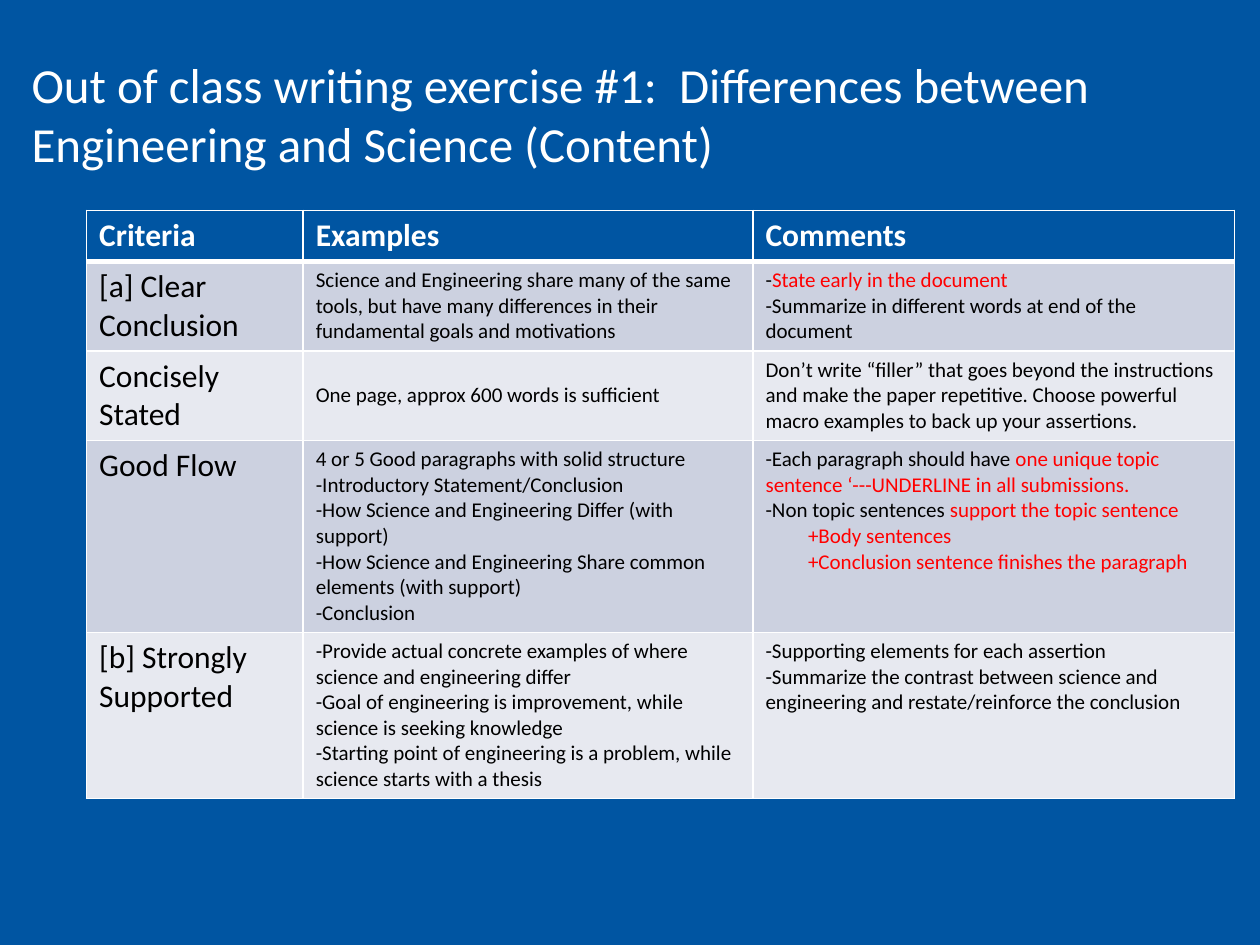
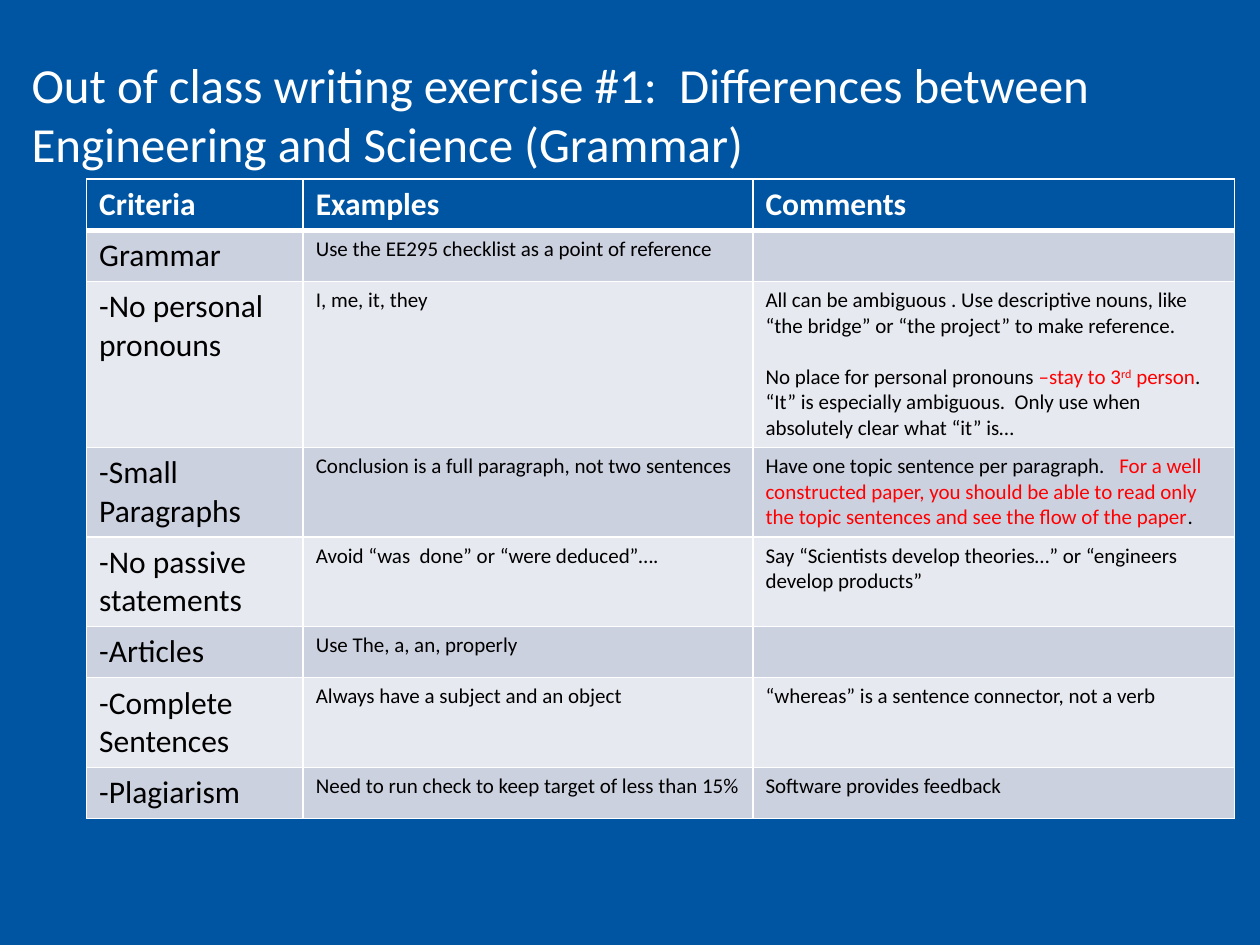
import pptx
import pptx.util
import pptx.dml.color
import pptx.enum.text
import lxml.etree
from pptx.util import Pt
from pptx.dml.color import RGBColor
from pptx.oxml.ns import qn

BLUE = RGBColor(0x00, 0x55, 0xA2)
WHITE = RGBColor(0xFF, 0xFF, 0xFF)
BLACK = RGBColor(0x00, 0x00, 0x00)
RED = RGBColor(0xFF, 0x00, 0x00)
BANDS = [RGBColor(0xE7, 0xE9, 0xF0), RGBColor(0xCC, 0xD1, 0xE0)]

FONT = "Calibri"
TITLE = "Out of class writing exercise #1:  Differences between Engineering and Science"
HEADER = ["Criteria", "Examples", "Comments"]
COLUMN_WIDTHS = [123.8, 257, 275.2]
ONE_LINE, TWO_LINES = 29.2, 50.4
SUB_INDENT = 24.3
BLANK_LINE = 14.6


def add_span(para, text, size, color, bold=False):
    span = para.add_run()
    span.text = text
    span.font.name = FONT
    span.font.size = Pt(size)
    span.font.color.rgb = color
    span.font.bold = bold
    return span


def set_borders(cell, top, bottom):
    properties = cell._tc.get_or_add_tcPr()
    sides = [("lnL", 1), ("lnR", 1), ("lnT", top), ("lnB", bottom)]
    for position, (side, width) in enumerate(sides):
        line = lxml.etree.Element(qn("a:" + side), w=str(Pt(width)))
        fill = lxml.etree.SubElement(line, qn("a:solidFill"))
        lxml.etree.SubElement(fill, qn("a:srgbClr"), val=str(WHITE))
        properties.insert(position, line)


# Each row: height, criterion, example paragraphs, comment paragraphs.
# A paragraph is a list of spans; a span is (text, colour).
content_rows = [
    (TWO_LINES, "[a] Clear Conclusion",
     [[("Science and Engineering share many of the same tools, but have many "
        "differences in their fundamental goals and motivations", BLACK)]],
     [[("-", BLACK), ("State early in the document", RED)],
      [("-Summarize in different words at end of the document", BLACK)]]),
    (TWO_LINES, "Concisely Stated",
     [[("One page, approx 600 words is sufficient", BLACK)]],
     [[("Don’t write “filler” that goes beyond the instructions and make the paper "
        "repetitive. Choose powerful macro examples to back up your assertions.", BLACK)]]),
    (108.4, "Good Flow",
     [[("4 or 5 Good paragraphs with solid structure", BLACK)],
      [("-Introductory Statement/Conclusion", BLACK)],
      [("-How Science and Engineering Differ (with support)", BLACK)],
      [("-How Science and Engineering Share common elements (with support)", BLACK)],
      [("-Conclusion", BLACK)]],
     [[("-Each paragraph should have ", BLACK),
       ("one unique topic sentence ‘---UNDERLINE in all submissions.", RED)],
      [("-Non topic sentences ", BLACK), ("support the topic sentence", RED)],
      [("+Body sentences", RED)],
      [("+Conclusion sentence finishes the paragraph", RED)]]),
    (93.4, "[b] Strongly Supported",
     [[("-Provide actual concrete examples of where science and engineering differ", BLACK)],
      [("-Goal of engineering is improvement, while science is seeking knowledge", BLACK)],
      [("-Starting point of engineering is a problem, while science starts with a thesis",
        BLACK)]],
     [[("-Supporting elements for each assertion", BLACK)],
      [("-Summarize the contrast between science and engineering and "
        "restate/reinforce the conclusion", BLACK)]]),
]

grammar_rows = [
    (ONE_LINE, "Grammar",
     [[("Use the EE295 checklist as a point of reference", BLACK)]], []),
    (93.6, "-No personal pronouns",
     [[("I, me, it, they", BLACK)]],
     [[("All can be ambiguous . Use descriptive nouns, like “the bridge” or "
        "“the project” to make reference.", BLACK)],
      [("No place for personal pronouns ", BLACK), ("–stay to 3", RED), ("rd", RED),
       (" person", RED), (".", BLACK)],
      [("“It” is especially ambiguous.  Only use when absolutely clear what “it” is…",
        BLACK)]]),
    (TWO_LINES, "-Small Paragraphs",
     [[("Conclusion is a full paragraph, not two sentences", BLACK)]],
     [[("Have one topic sentence per paragraph.   ", BLACK),
       ("For a well constructed paper, you should be able to read only the topic "
        "sentences and see the flow of the paper", RED), (".", BLACK)]]),
    (TWO_LINES, "-No passive statements",
     [[("Avoid “was  done” or “were deduced”….", BLACK)]],
     [[("Say “Scientists develop theories…” or “engineers develop products”", BLACK)]]),
    (ONE_LINE, "-Articles",
     [[("Use The, a, an, properly", BLACK)]], []),
    (TWO_LINES, "-Complete Sentences",
     [[("Always have a subject and an object", BLACK)]],
     [[("“whereas” is a sentence connector, not a verb", BLACK)]]),
    (ONE_LINE, "-Plagiarism",
     [[("Need to run check to keep target of less than 15%", BLACK)]],
     [[("Software provides feedback", BLACK)]]),
]

pages = [("Content", 120.2, content_rows), ("Grammar", 102.4, grammar_rows)]

deck = pptx.Presentation()
deck.slide_width, deck.slide_height = Pt(720), Pt(540)
background = deck.slide_master.background.fill
background.solid()
background.fore_color.rgb = BLUE

for topic, table_top, rows in pages:
    page = deck.slides.add_slide(deck.slide_layouts[5])

    # Title
    box = page.shapes.title
    box.left, box.top, box.width, box.height = Pt(10.8), Pt(27.4), Pt(694.8), Pt(75)
    box.text_frame.vertical_anchor = pptx.enum.text.MSO_ANCHOR.TOP
    box.text_frame.auto_size = pptx.enum.text.MSO_AUTO_SIZE.NONE
    para = box.text_frame.paragraphs[0]
    para.alignment = pptx.enum.text.PP_ALIGN.LEFT
    add_span(para, f"{TITLE} ({topic})", 28, WHITE)

    # Table grid
    heights = [ONE_LINE] + [row[0] for row in rows]
    table = page.shapes.add_table(len(heights), len(HEADER), Pt(49.5), Pt(table_top),
                                  Pt(sum(COLUMN_WIDTHS)), Pt(sum(heights))).table
    for column, width in zip(table.columns, COLUMN_WIDTHS):
        column.width = Pt(width)
    for table_row, height in zip(table.rows, heights):
        table_row.height = Pt(height)

    # Header row
    for index, heading in enumerate(HEADER):
        cell = table.cell(0, index)
        cell.fill.solid()
        cell.fill.fore_color.rgb = BLUE
        set_borders(cell, 1, 3)
        add_span(cell.text_frame.paragraphs[0], heading, 18, WHITE, True)

    # Criteria rows
    for number, (height, criterion, examples, comments) in enumerate(rows, 1):
        for index, paragraphs in enumerate([[[(criterion, BLACK)]], examples, comments]):
            cell = table.cell(number, index)
            cell.fill.solid()
            cell.fill.fore_color.rgb = BANDS[number % 2]
            set_borders(cell, 3 if number == 1 else 1, 1)
            if criterion == "Concisely Stated" and index == 1:
                cell.vertical_anchor = pptx.enum.text.MSO_ANCHOR.MIDDLE
            frame = cell.text_frame
            for order, spans in enumerate(paragraphs):
                para = frame.add_paragraph() if order else frame.paragraphs[0]
                if spans[0][0].startswith("+"):
                    para._p.get_or_add_pPr().set("marL", str(Pt(SUB_INDENT)))
                if spans[0][0].startswith("No place"):
                    para.space_before = Pt(BLANK_LINE)
                for text, color in spans:
                    span = add_span(para, text, 12 if index else 18, color)
                    if text == "rd":
                        span._r.get_or_add_rPr().set("baseline", "30000")

deck.save("out.pptx")
